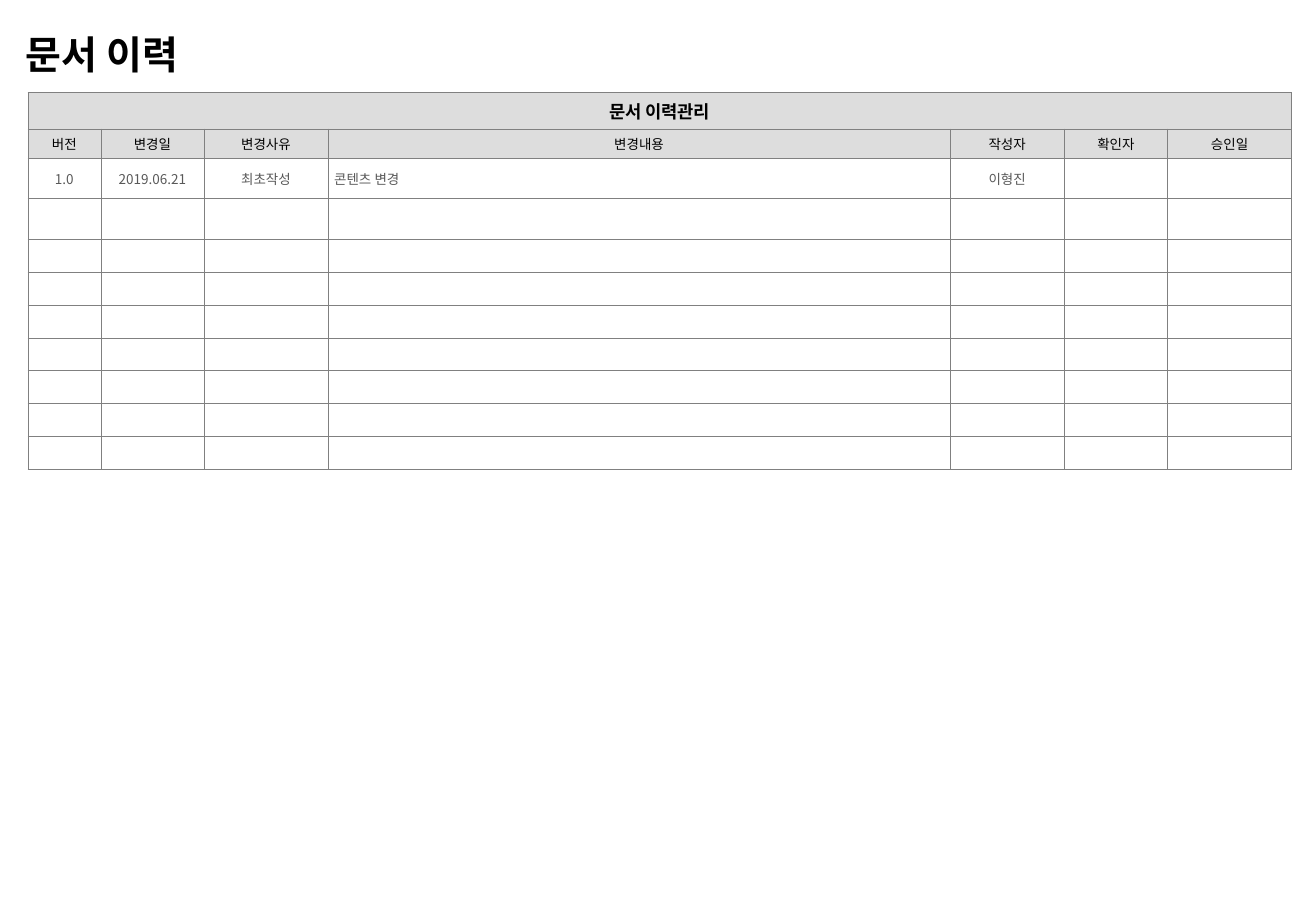
from dataclasses import dataclass

from lxml import etree
from pptx import Presentation
from pptx.dml.color import RGBColor
from pptx.enum.text import MSO_ANCHOR, MSO_AUTO_SIZE, PP_ALIGN
from pptx.oxml.ns import qn
from pptx.util import Inches, Pt

LEFT, CENTER = PP_ALIGN.LEFT, PP_ALIGN.CENTER
MIDDLE, BOTTOM = MSO_ANCHOR.MIDDLE, MSO_ANCHOR.BOTTOM
NO_AUTOFIT = MSO_AUTO_SIZE.NONE
TITLE_ONLY = 5

COLUMN_WIDTHS = [0.6, 0.85, 1.02, 5.12, 0.94, 0.85, 1.02]
ROW_HEIGHTS = [0.3, 0.23, 0.33, 0.34] + [0.27] * 7
HEADINGS = ["버전", "변경일", "변경사유", "변경내용", "작성자", "확인자", "승인일"]
REVISIONS = [["1.0", "2019.06.21", "최초작성", "콘텐츠 변경", "이형진", "", ""]]
CHANGE_COLUMN = HEADINGS.index("변경내용")


@dataclass(frozen=True)
class Theme:
    font: str = "Noto Sans CJK KR"
    ink: str = "000000"
    muted: str = "595959"
    header_fill: str = "DDDDDD"
    body_fill: str = "FFFFFF"
    border: str = "808080"
    border_width: float = 0.25
    title_size: float = 23.1
    caption_size: float = 10.5
    cell_size: float = 8


class HistorySlide:
    def __init__(self, deck, theme):
        self.theme = theme
        self.slide = deck.slides.add_slide(deck.slide_layouts[TITLE_ONLY])

    def add_text(self, paragraph, text, size, color, bold=False):
        run = paragraph.add_run()
        run.text = text
        font = run.font
        font.size, font.bold, font.name = Pt(size), bold, self.theme.font
        font.color.rgb = RGBColor.from_string(color)
        for script in ("a:ea", "a:cs"):
            etree.SubElement(font._element, qn(script), typeface=self.theme.font)

    def title(self, text):
        heading = self.slide.shapes.title
        heading.left, heading.top = Inches(0.11), Inches(0.25)
        heading.width, heading.height = Inches(10.72), Inches(0.43)
        frame = heading.text_frame
        frame.word_wrap, frame.auto_size = True, NO_AUTOFIT
        frame.vertical_anchor = BOTTOM
        paragraph = frame.paragraphs[0]
        paragraph.alignment, paragraph.line_spacing = LEFT, 0.8
        self.add_text(paragraph, text, self.theme.title_size, self.theme.ink, True)

    def outline(self, cell):
        properties = cell._tc.get_or_add_tcPr()
        for position, side in enumerate(("a:lnL", "a:lnR", "a:lnT", "a:lnB")):
            line = etree.Element(qn(side), w=str(int(Pt(self.theme.border_width))))
            fill = etree.SubElement(line, qn("a:solidFill"))
            etree.SubElement(fill, qn("a:srgbClr"), val=self.theme.border)
            properties.insert(position, line)

    def style_cell(self, cell, fill, side_margin, end_margin):
        cell.fill.solid()
        cell.fill.fore_color.rgb = RGBColor.from_string(fill)
        cell.vertical_anchor = MIDDLE
        cell.margin_left = cell.margin_right = Inches(side_margin)
        cell.margin_top = cell.margin_bottom = Inches(end_margin)
        self.outline(cell)

    def fill_cell(self, cell, text, size, color, align=CENTER, bold=False):
        paragraph = cell.text_frame.paragraphs[0]
        paragraph.alignment = align
        if text:
            self.add_text(paragraph, text, size, color, bold)
        else:
            # An empty cell keeps the small type size so its row does not grow.
            etree.SubElement(paragraph._p, qn("a:endParaRPr"), sz=str(int(size * 100)))

    def history_table(self, caption, headings, revisions):
        theme = self.theme
        table = self.slide.shapes.add_table(
            len(ROW_HEIGHTS), len(COLUMN_WIDTHS), Inches(0.23), Inches(0.76),
            Inches(sum(COLUMN_WIDTHS)), Inches(sum(ROW_HEIGHTS))).table
        table.horz_banding = False
        for column, width in zip(table.columns, COLUMN_WIDTHS):
            column.width = Inches(width)
        for row, height in zip(table.rows, ROW_HEIGHTS):
            row.height = Inches(height)

        blank = [""] * len(headings)
        lines = [[caption] + blank[1:], headings] + revisions
        lines += [blank] * (len(ROW_HEIGHTS) - len(lines))
        for r, line in enumerate(lines):
            header = r < 2
            size = theme.caption_size if r == 0 else theme.cell_size
            for c, text in enumerate(line):
                cell = table.cell(r, c)
                if header:
                    self.style_cell(cell, theme.header_fill, 0.09, 0.04)
                else:
                    self.style_cell(cell, theme.body_fill, 0.05 if c in (2, 3) else 0.02, 0.02)
                align = LEFT if c == CHANGE_COLUMN and not header else CENTER
                color = theme.ink if header else theme.muted
                self.fill_cell(cell, text, size, color, align, bold=r == 0)
        table.cell(0, 0).merge(table.cell(0, len(headings) - 1))


def main():
    deck = Presentation()
    deck.slide_width, deck.slide_height = Inches(10.83), Inches(7.5)
    history = HistorySlide(deck, Theme())
    history.title("문서 이력")
    history.history_table("문서 이력관리", HEADINGS, REVISIONS)
    deck.save("out.pptx")


if __name__ == "__main__":
    main()
